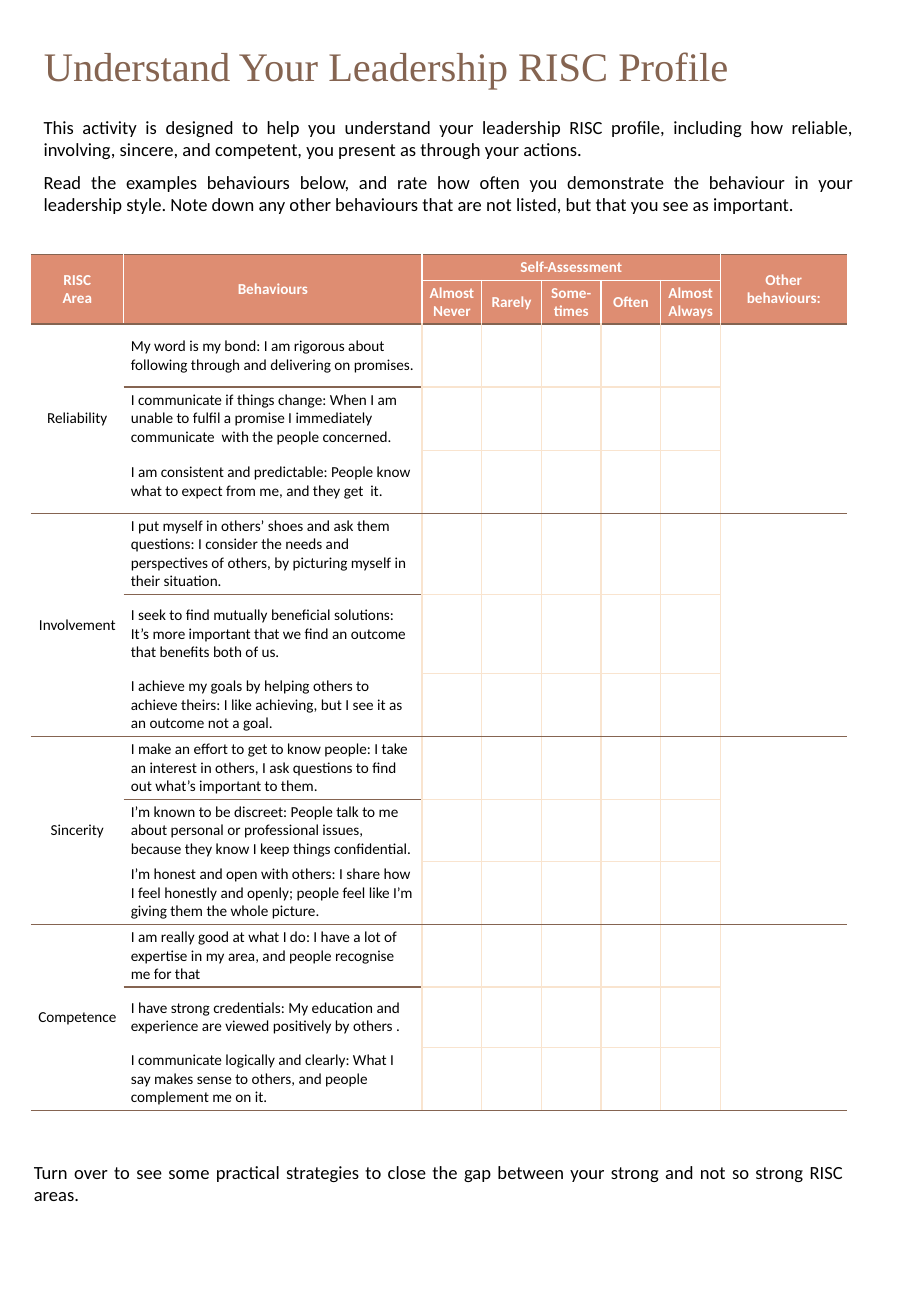
from collections import namedtuple

from lxml.etree import SubElement
from pptx import Presentation
from pptx.dml.color import RGBColor
from pptx.enum.text import MSO_ANCHOR as Anchor, PP_ALIGN as Align
from pptx.oxml.ns import qn
from pptx.util import Inches, Pt

BROWN = RGBColor(0x85, 0x64, 0x51)
CORAL = RGBColor(0xDE, 0x8D, 0x72)
CREAM = RGBColor(0xF9, 0xE4, 0xCF)
WHITE = RGBColor(0xFF, 0xFF, 0xFF)
BLACK = RGBColor(0, 0, 0)

PLAIN_TABLE_STYLE = "{2D5ABB26-0587-4C30-8999-92F81FD0307C}"
PAGE_WIDTH, PAGE_HEIGHT = Inches(7.5), Inches(10.83)
Box = namedtuple("Box", "left top width height")

TITLE = "Understand Your Leadership RISC Profile"
INTRO = [
    "This activity is designed to help you understand your leadership RISC profile, including "
    "how reliable, involving, sincere, and competent, you present as through your actions.",
    "Read the examples behaviours below, and rate how often you demonstrate the behaviour in "
    "your leadership style. Note down any other behaviours that are not listed, but that you "
    "see as important.",
]
CLOSING = ["Turn over to see some practical strategies to close the gap between your strong "
           "and not so strong RISC areas."]
RATINGS = ["Almost Never", "Rarely", "Some-times", "Often", "Almost\nAlways"]
AREAS = {
    "Reliability": [
        "My word is my bond: I am rigorous about following through and delivering on promises.",
        "I communicate if things change: When I am unable to fulfil a promise I immediately "
        "communicate  with the people concerned.",
        "I am consistent and predictable: People know what to expect from me, and they get  it.",
    ],
    "Involvement": [
        "I put myself in others’ shoes and ask them questions: I consider the needs and "
        "perspectives of others, by picturing myself in their situation.",
        "I seek to find mutually beneficial solutions: It’s more important that we find an "
        "outcome that benefits both of us.",
        "I achieve my goals by helping others to achieve theirs: I like achieving, but I see "
        "it as an outcome not a goal.",
    ],
    "Sincerity": [
        "I make an effort to get to know people: I take an interest in others, I ask questions "
        "to find out what’s important to them.",
        "I’m known to be discreet: People talk to me about personal or professional issues, "
        "because they know I keep things confidential.",
        "I’m honest and open with others: I share how I feel honestly and openly; people feel "
        "like I’m giving them the whole picture.",
    ],
    "Competence": [
        "I am really good at what I do: I have a lot of expertise in my area, and people "
        "recognise me for that",
        "I have strong credentials: My education and experience are viewed positively by "
        "others .",
        "I communicate logically and clearly: What I say makes sense to others, and people "
        "complement me on it.",
    ],
}
COLUMN_WEIGHTS = [76, 245] + [49] * len(RATINGS) + [104]
ROW_WEIGHTS = [21, 36, 52, 52, 52, 67, 65, 52, 52, 51, 52, 51, 50, 52]
HEADER_ROWS, GROUP = 2, 3
FIRST_RATING, OTHER = 2, 2 + len(RATINGS)


def share(left, top, width, height):
    """Return a box from percentages of the page's size."""
    return Box(int(PAGE_WIDTH * left / 100), int(PAGE_HEIGHT * top / 100),
               int(PAGE_WIDTH * width / 100), int(PAGE_HEIGHT * height / 100))


def style(para, size, color, align, font="Calibri", bold=False):
    """Align a paragraph and format its runs."""
    para.alignment = align
    for span in para.runs:
        span.font.name, span.font.size, span.font.bold = font, Pt(size), bold
        span.font.color.rgb = color


def add_title(page, box):
    """Place and format the title placeholder."""
    title = page.shapes.title
    title.left, title.top, title.width, title.height = box
    title.text_frame.text = TITLE
    title.text_frame.vertical_anchor = Anchor.MIDDLE
    para = title.text_frame.paragraphs[0]
    para.line_spacing = 0.9
    style(para, 24, BROWN, Align.LEFT, "Times New Roman")


def add_body(page, box, texts):
    """Add justified body paragraphs."""
    frame = page.shapes.add_textbox(*box).text_frame
    frame.word_wrap = True
    frame.text = "\n".join(texts)
    for para in frame.paragraphs:
        para.space_after = Pt(6)
        style(para, 11, BLACK, Align.JUSTIFY)


def horizontal_line(row, column):
    """Return the colour of the line above a row, or None."""
    rating = FIRST_RATING <= column < OTHER
    if row == 0:
        return BROWN
    if row < HEADER_ROWS:
        return WHITE if rating else None
    step = (row - HEADER_ROWS) % GROUP
    if step == 0 or (step == 1 and column == 1):
        return BROWN
    return CREAM if rating else None


def vertical_line(row, column):
    """Return the colour of the line left of a column, or None."""
    if column in (0, len(COLUMN_WEIGHTS)):
        return None
    if row >= HEADER_ROWS:
        return CREAM if column >= FIRST_RATING else None
    return None if row == 0 and FIRST_RATING < column < OTHER else WHITE


def draw_borders(cell, row, column):
    """Draw the four borders of a cell, taken at the far edges of its span."""
    colors = {"L": vertical_line(row, column),
              "R": vertical_line(row, column + cell.span_width),
              "T": horizontal_line(row, column),
              "B": horizontal_line(row + cell.span_height, column)}
    properties = cell._tc.get_or_add_tcPr()
    for side, color in colors.items():
        line = SubElement(properties, qn(f"a:ln{side}"), w=str(Pt(1)))
        if color is None:
            SubElement(line, qn("a:noFill"))
        else:
            SubElement(SubElement(line, qn("a:solidFill")), qn("a:srgbClr"), val=str(color))


def format_cell(cell, row, column, text):
    """Fill in one cell with its text, borders and background."""
    header = row < HEADER_ROWS
    draw_borders(cell, row, column)
    if header:
        cell.fill.solid()
        cell.fill.fore_color.rgb = CORAL
    else:
        cell.fill.background()
    cell.margin_left = cell.margin_right = Inches(0.04 if column == 0 else 0.06)
    cell.margin_top = cell.margin_bottom = Inches(0.03)
    cell.vertical_anchor = Anchor.MIDDLE
    cell.text_frame.text = text
    for para in cell.text_frame.paragraphs:
        style(para, 9, WHITE if header else BLACK,
              Align.LEFT if column == 1 and not header else Align.CENTER, bold=header)
        if not text:
            SubElement(para._p, qn("a:endParaRPr"), sz="900")


def table_texts():
    """Return the texts of the table by row and column."""
    texts = {(0, 0): "RISC\nArea", (0, 1): "Behaviours",
             (0, FIRST_RATING): "Self-Assessment", (0, OTHER): "Other behaviours:"}
    for index, rating in enumerate(RATINGS):
        texts[1, FIRST_RATING + index] = rating
    for group, (area, behaviours) in enumerate(AREAS.items()):
        first = HEADER_ROWS + group * GROUP
        texts[first, 0] = area
        for index, behaviour in enumerate(behaviours):
            texts[first + index, 1] = behaviour
    return texts


def merge_cells(table):
    """Join the header cells and the cells that span a whole area."""
    table.cell(0, FIRST_RATING).merge(table.cell(0, OTHER - 1))
    for column in (0, 1, OTHER):
        table.cell(0, column).merge(table.cell(HEADER_ROWS - 1, column))
    for first in range(HEADER_ROWS, len(ROW_WEIGHTS), GROUP):
        for column in (0, OTHER):
            table.cell(first, column).merge(table.cell(first + GROUP - 1, column))


def add_assessment(page, box):
    """Add the self-assessment table."""
    table = page.shapes.add_table(len(ROW_WEIGHTS), len(COLUMN_WEIGHTS), *box).table
    table.first_row = table.horz_banding = False
    table._tbl.tblPr.find(qn("a:tableStyleId")).text = PLAIN_TABLE_STYLE
    for column, weight in zip(table.columns, COLUMN_WEIGHTS):
        column.width = int(box.width * weight / sum(COLUMN_WEIGHTS))
    for row, weight in zip(table.rows, ROW_WEIGHTS):
        row.height = int(box.height * weight / sum(ROW_WEIGHTS))
    merge_cells(table)
    texts = table_texts()
    for row in range(len(ROW_WEIGHTS)):
        for column in range(len(COLUMN_WEIGHTS)):
            format_cell(table.cell(row, column), row, column, texts.get((row, column), ""))


deck = Presentation()
deck.slide_width, deck.slide_height = PAGE_WIDTH, PAGE_HEIGHT
page = deck.slides.add_slide(deck.slide_layouts[5])
add_title(page, share(3.47, 2.03, 92, 6.28))
add_body(page, share(3.47, 8.35, 91.6, 8.59), INTRO)
add_assessment(page, share(3.4, 19.35, 89.6, 64.98))
add_body(page, share(2.4, 87.75, 91.6, 4.34), CLOSING)
deck.save("out.pptx")
